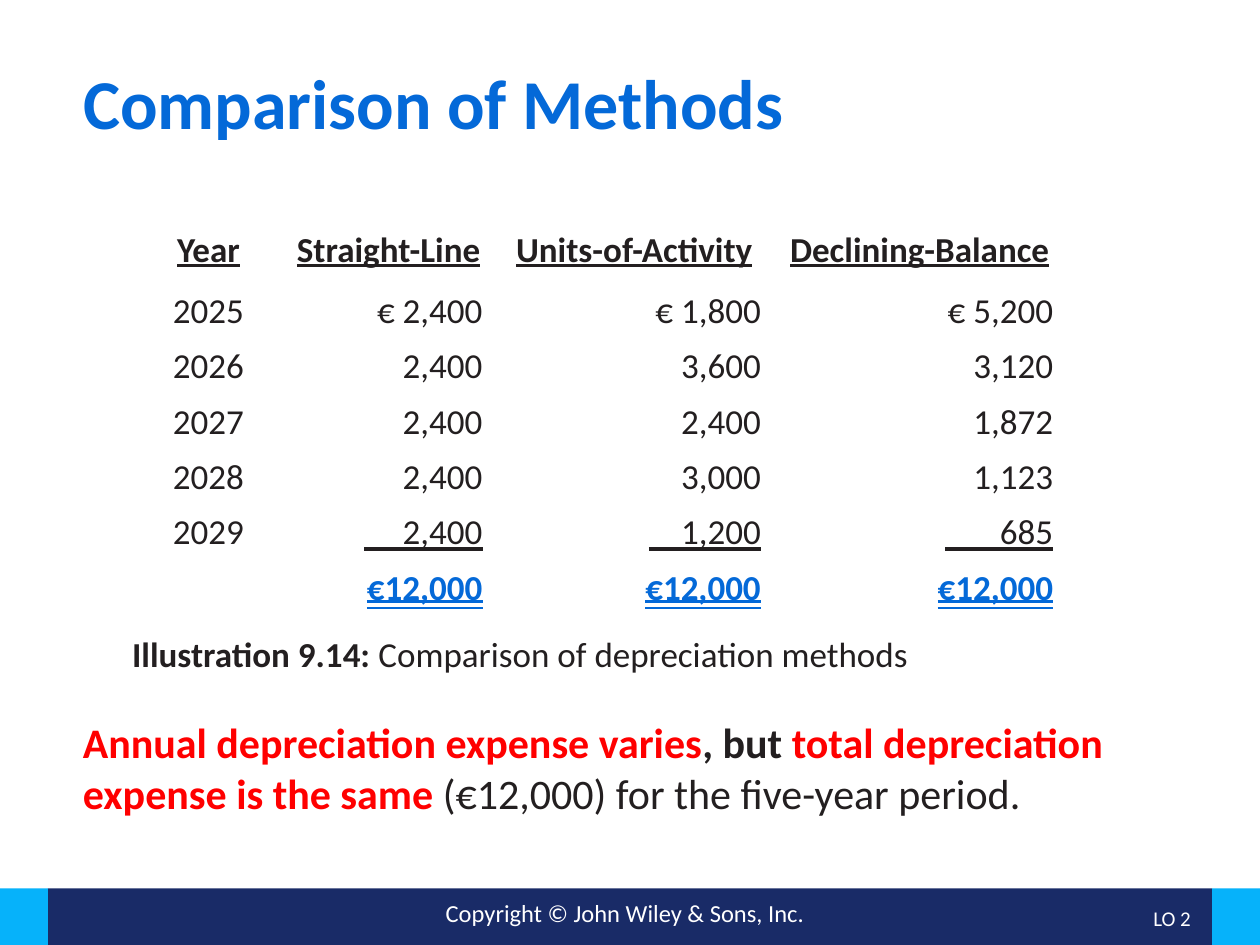
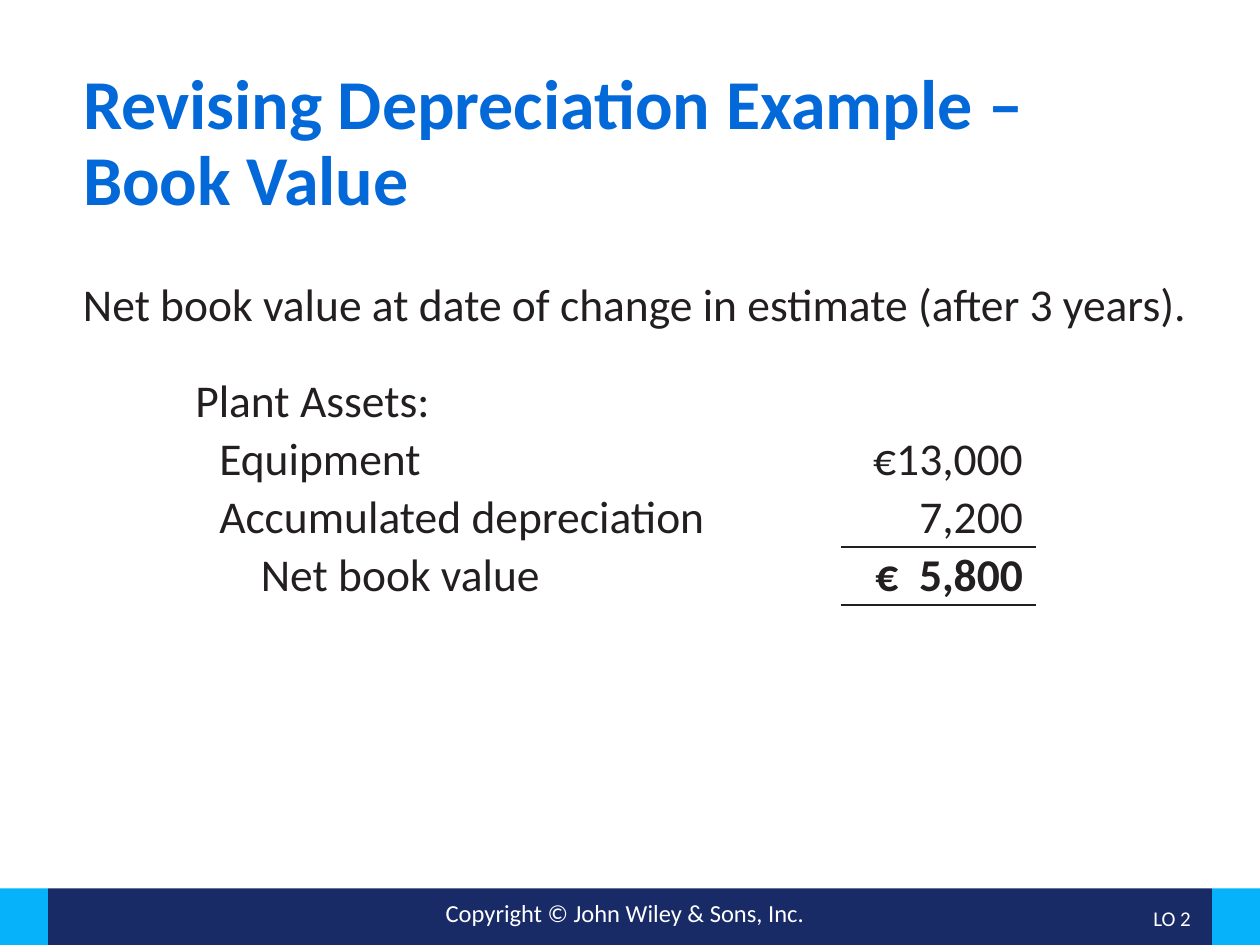
"""Build two slides on comparing depreciation methods and revising book value."""
from itertools import accumulate

from lxml import etree
from pptx import Presentation
from pptx.dml.color import RGBColor
from pptx.enum.shapes import MSO_CONNECTOR, MSO_SHAPE
from pptx.enum.text import MSO_ANCHOR, MSO_AUTO_SIZE, PP_ALIGN
from pptx.enum.text import MSO_TEXT_UNDERLINE_TYPE as Underline
from pptx.oxml import parse_xml
from pptx.oxml.ns import nsdecls, qn
from pptx.util import Inches, Pt

rgb = RGBColor.from_string
NAVY, SKY, BLUE = "192B67", "06B2FA", "0469D8"
INK, RED, WHITE = "231F20", "FF0000", "FFFFFF"


def write(para, text, size, color=INK, bold=False, underline=None):
    """Append one formatted run to a paragraph."""
    span = para.add_run()
    span.text = text
    span.font.name = "Calibri"
    span.font.size = Pt(size)
    span.font.color.rgb = rgb(color)
    span.font.bold = bold
    span.font.underline = underline
    return span


def add_text(page, left, top, width, height):
    """Add a wrapping text box and return its text frame."""
    box = page.shapes.add_textbox(Inches(left), Inches(top), Inches(width), Inches(height))
    box.text_frame.word_wrap = True
    return box.text_frame


deck = Presentation()
deck.slide_width, deck.slide_height = Inches(10), Inches(7.5)
pages = []
for heading, title_height in (
    ("Comparison of Methods", 0.93),
    ("Revising Depreciation Example – Book Value", 1.34),
):
    page = deck.slides.add_slide(deck.slide_layouts[5])
    pages.append(page)

    for left, width, color in ((0.38, 9.24, NAVY), (0, 0.38, SKY), (9.62, 0.38, SKY)):
        band = page.shapes.add_shape(
            MSO_SHAPE.RECTANGLE, Inches(left), Inches(7.05), Inches(width), Inches(0.45))
        band.shadow.inherit = False
        band.fill.solid()
        band.fill.fore_color.rgb = rgb(color)
        band.line.fill.background()

    para = add_text(page, 2.5, 7.08, 4.92, 0.34).paragraphs[0]
    para.alignment = PP_ALIGN.CENTER
    write(para, "Copyright © John Wiley & Sons, Inc.", 14, WHITE)

    objective = add_text(page, 8.73, 7.1, 0.82, 0.4)
    objective.vertical_anchor = MSO_ANCHOR.MIDDLE
    para = objective.paragraphs[0]
    para.alignment = PP_ALIGN.RIGHT
    para.line_spacing = 0.9
    write(para, "LO 2", 12, WHITE)

    title = page.shapes.title
    title.left, title.top = Inches(0.56), Inches(0.5)
    title.width, title.height = Inches(8.88), Inches(title_height)
    title.text_frame.auto_size = MSO_AUTO_SIZE.NONE
    title.text_frame.vertical_anchor = MSO_ANCHOR.TOP
    para = title.text_frame.paragraphs[0]
    para.alignment = PP_ALIGN.LEFT
    para.line_spacing = 0.9
    write(para, heading, 40, BLUE, True)

comparison, revision = pages

methods = [
    ("Year", "Straight-Line", "Units-of-Activity", "Declining-Balance"),
    ("2025", "€ 2,400", "€ 1,800", "€ 5,200"),
    ("2026", "2,400", "3,600", "3,120"),
    ("2027", "2,400", "2,400", "1,872"),
    ("2028", "2,400", "3,000", "1,123"),
    ("2029", "2,400", "1,200", "685"),
    ("", "€12,000", "€12,000", "€12,000"),
]
column_widths = [1.17, 1.69, 2.21, 2.32]
table_left, table_top, header_height, row_height = 1.07, 1.72, 0.53, 0.44
table = comparison.shapes.add_table(
    len(methods), len(column_widths), Inches(table_left), Inches(table_top),
    Inches(sum(column_widths)), Inches(header_height + 6 * row_height)).table
table.first_row = table.horz_banding = False
for column, width in zip(table.columns, column_widths):
    column.width = Inches(width)
for row_number, values in enumerate(methods):
    header, total = row_number == 0, row_number == len(methods) - 1
    table.rows[row_number].height = Inches(header_height if header else row_height)
    underline = Underline.SINGLE_LINE if header else Underline.DOUBLE_LINE if total else None
    for column_number, value in enumerate(values):
        cell = table.cell(row_number, column_number)
        cell.fill.background()
        cell.vertical_anchor = MSO_ANCHOR.MIDDLE
        para = cell.text_frame.paragraphs[0]
        centred = header or column_number == 0
        para.alignment = PP_ALIGN.CENTER if centred else PP_ALIGN.RIGHT
        if value:
            write(para, value, 20, BLUE if total else INK, header or total, underline)

column_ends = list(accumulate(column_widths, initial=table_left))[2:]
for column_end, length in zip(column_ends, (0.94, 0.89, 0.86)):
    right = column_end - 0.1
    sum_line = comparison.shapes.add_connector(
        MSO_CONNECTOR.STRAIGHT, Inches(right - length), Inches(4.36), Inches(right), Inches(4.36))
    sum_line.line.color.rgb = rgb(INK)
    sum_line.line.width = Pt(2.25)
    etree.SubElement(sum_line._element.spPr, qn("a:effectLst"))

conclusion = add_text(comparison, 0.56, 4.97, 8.88, 1.72)
caption = conclusion.paragraphs[0]
caption._p.get_or_add_pPr().set("marL", str(Inches(0.39)))
caption.space_after = Pt(18)
write(caption, "Illustration 9.14: ", 20, bold=True)
write(caption, "Comparison of depreciation methods", 20)
para = conclusion.add_paragraph()
para.space_before = Pt(6.2)
for text, color, bold in (
    ("Annual depreciation expense varies", RED, True),
    (", but ", INK, True),
    ("total depreciation expense is the same ", RED, True),
    ("(€12,000) for the five-year period.", INK, False),
):
    write(para, text, 24, color, bold)

para = add_text(revision, 0.56, 2.14, 9.09, 0.59).paragraphs[0]
write(para, "Net book value at date of change in estimate (after 3 years).", 26)

assets = [
    ("Plant Assets:", 0, (), ""),
    ("Equipment", 0.19, ("€13,000",), ""),
    ("Accumulated depreciation", 0.19, ("7,200",), "B"),
    ("Net book value", 0.52, ("€", " ", "5,800"), "BT"),
]
table = revision.shapes.add_table(
    len(assets), 2, Inches(1.45), Inches(2.96), Inches(6.77), Inches(4 * 0.46)).table
table.first_row = table.horz_banding = False
table.columns[0].width, table.columns[1].width = Inches(5.23), Inches(1.54)
for row_number, (label, indent, amount, borders) in enumerate(assets):
    table.rows[row_number].height = Inches(0.46)
    label_cell, amount_cell = table.rows[row_number].cells
    for cell in (label_cell, amount_cell):
        cell.fill.background()
        cell.margin_top = cell.margin_bottom = Inches(0.01)
    para = label_cell.text_frame.paragraphs[0]
    para._p.get_or_add_pPr().set("marL", str(Inches(indent)))
    write(para, label, 26)
    para = amount_cell.text_frame.paragraphs[0]
    para.alignment = PP_ALIGN.RIGHT
    for part in amount:
        span = write(para, part, 26, bold=len(amount) > 1)
        if part == " ":
            span.font._element.set("spc", "590")
    for side in borders:
        amount_cell._tc.get_or_add_tcPr().insert(0, parse_xml(
            f'<a:ln{side} {nsdecls("a")} w="{Pt(1.5)}"><a:solidFill>'
            f'<a:srgbClr val="{INK}"/></a:solidFill></a:ln{side}>'))

deck.save("out.pptx")
